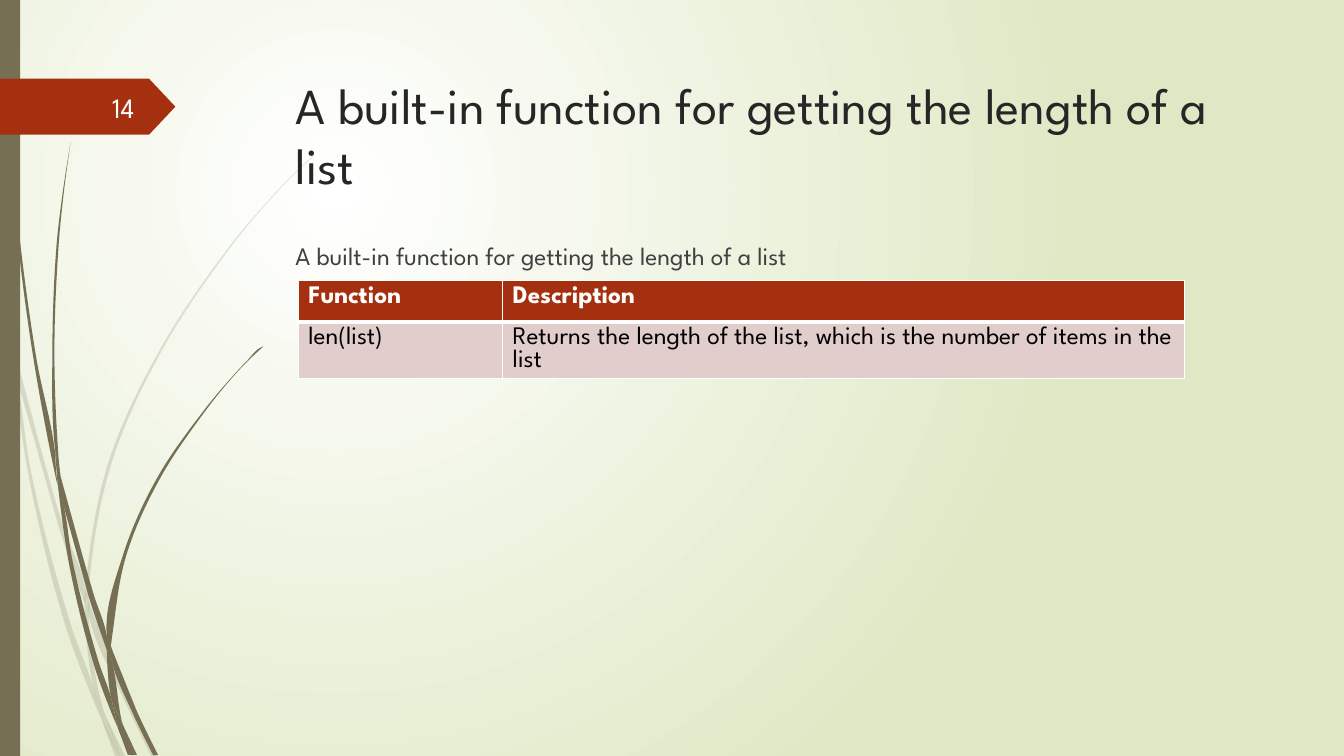
"""Build a slide that presents the list length function."""
from math import dist
from lxml.etree import SubElement
from pptx import Presentation
from pptx.dml.color import RGBColor
from pptx.enum.shapes import MSO_SHAPE
from pptx.enum.text import MSO_ANCHOR, MSO_AUTO_SIZE, PP_ALIGN
from pptx.oxml.ns import qn
from pptx.util import Pt

FONT = "League Spartan"
WHITE = RGBColor(0xFF, 0xFF, 0xFF)
PALE_GREEN = RGBColor(0xDF, 0xE8, 0xC4)
OLIVE = RGBColor(0x76, 0x6F, 0x54)
RUST = RGBColor(0xA5, 0x30, 0x10)
PINK = RGBColor(0xE1, 0xCD, 0xCC)
BLACK = RGBColor(0, 0, 0)
TITLE_GREY = RGBColor(0x26, 0x26, 0x26)
BODY_GREY = RGBColor(0x40, 0x40, 0x40)
NUMBER_WHITE = RGBColor(0xFE, 0xFF, 0xFF)

TITLE = "A built-in function for getting the length of a list"
CAPTION = "A built-in function for getting the length of a list"
SLIDE_NUMBER = "14"
TABLE_ROWS = [
    ("Function", "Description"),
    ("len(list)", "Returns the length of the list, which is the number of items in the list"),
]
COLUMN_WIDTHS = (145.9, 486.9)
ROW_HEIGHTS = (29.2, 29.2)

FAINT_BLADES = [
    [(7.9, 252), (6.5, 231.8), (0, 203), (0, 215.3), (7.2, 247.7)],
    [(41.8, 375.8), (60.5, 431.3), (61.2, 421.9), (44.6, 374.4), (10.1, 248.4), (12.2, 270.7)],
    [(66.2, 437), (63.4, 429.1), (63.4, 439.2), (88.6, 499.7), (108, 540), (111.6, 540),
     (91.4, 498.2)],
    [(85.7, 540), (89.3, 540), (75.6, 511.9)],
    [(67, 491.8), (50.4, 445.7), (22.3, 337.7), (12.2, 270.7), (7.9, 252), (20.2, 338.4),
     (46.8, 447.1), (66.2, 499), (72.7, 514.1), (71.3, 509)],
    [(60.5, 431.3), (62.6, 465.1), (67, 491.8), (69.1, 498.2), (75.6, 511.9), (74.2, 508.3),
     (65.5, 465.1), (63.4, 439.2), (63.4, 437.8)],
    [(63.4, 420.5), (79.2, 332.6), (115.2, 251.3), (164.9, 176.4), (193, 142.6), (208.8, 126),
     (224.6, 110.9), (224.6, 110.2), (208.1, 126), (193, 141.8), (164.2, 175.7),
     (113.8, 250.6), (77, 331.9), (61.2, 420.5), (61.2, 421.9), (63.4, 429.1)],
    [(72.7, 514.1), (82.1, 540), (85.7, 540)],
    [(63.4, 437.8), (63.4, 439.2), (63.4, 429.1), (61.2, 421.9), (60.5, 431.3)],
    [(69.1, 498.2), (67, 491.8), (71.3, 509), (72.7, 514.1), (85.7, 540), (75.6, 511.9)],
]
SOLID_BLADES = [
    [(5, 79.2), (12.2, 167.8), (23.8, 255.6), (40.3, 343.4), (41, 346.3), (39.6, 329),
     (39.6, 326.2), (25.9, 255.6), (13.7, 167), (5.8, 78.5), (3.6, 34.6), (2.9, 0), (2.2, 0),
     (2.9, 34.6)],
    [(63.4, 426.2), (76.3, 464.4), (76.3, 455.8), (76.3, 454.3), (67, 424.8), (43.2, 339.8),
     (46.1, 363.6)],
    [(81.4, 467.3), (79.2, 461.5), (79.9, 472.3), (95, 509.8), (109.4, 539.3), (113, 539.3),
     (97.9, 508.3)],
    [(79.2, 497.5), (70.6, 473), (51.8, 400.3), (46.1, 363.6), (41, 343.4), (49, 401),
     (67, 474.5), (79.9, 509.8), (84.2, 519.8), (83.5, 516.2)],
    [(43.2, 339.8), (41.8, 326.2), (38.9, 251.3), (41.8, 176.4), (45.4, 139), (50.4, 101.5),
     (44.6, 139), (40.3, 176.4), (37.4, 251.3), (39.6, 323.3)],
    [(95.8, 539.3), (97.9, 539.3), (87.8, 517.7)],
    [(41, 343.4), (46.1, 363.6), (43.2, 339.8), (39.6, 323.3), (39.6, 326.2)],
    [(79.9, 455.8), (90, 397.4), (113.8, 342.7), (147.6, 292.3), (166.3, 269.3),
     (176.4, 258.5), (187.9, 247.7), (187.2, 247.7), (176.4, 257.8), (166.3, 268.6),
     (146.9, 291.6), (112.3, 341.3), (87.8, 396.7), (76.3, 454.3), (79.2, 461.5)],
    [(84.2, 519.8), (91.4, 539.3), (94.3, 539.3)],
    [(76.3, 464.4), (79.2, 497.5), (83.5, 508.3), (87.8, 517.7), (87.1, 515.5),
     (79.9, 472.3), (78.5, 468.7)],
    [(76.3, 464.4), (78.5, 468.7), (79.9, 472.3), (79.2, 461.5), (76.3, 454.3), (76.3, 455.8)],
    [(83.5, 508.3), (79.2, 497.5), (83.5, 516.2), (84.2, 519.8), (93.6, 539.3),
     (95.8, 539.3), (87.8, 517.7)],
]


def paint(shape, color):
    shape.fill.solid()
    shape.fill.fore_color.rgb = color
    shape.line.fill.background()
    shape.shadow.inherit = False


def direction(start, end):
    length = dist(start, end) or 1
    return (end[0] - start[0]) / length, (end[1] - start[1]) / length


def tangent(before, point, after):
    (ax, ay), (bx, by) = direction(before, point), direction(point, after)
    if ax * bx + ay * by < 0.7:
        return 0, 0
    return direction((0, 0), (ax + bx, ay + by))


def curve_outline(shape):
    points = [(int(point.get("x")), int(point.get("y")))
              for point in shape._element.iter(qn("a:pt"))]
    tangents = [tangent(points[i - 1], point, points[(i + 1) % len(points)])
                for i, point in enumerate(points)]
    segments = list(shape._element.iter(qn("a:lnTo")))
    for i, segment in enumerate(segments):
        start, end = points[i], points[i + 1]
        reach = dist(start, end) / 3
        first = [p + reach * t for p, t in zip(start, tangents[i])]
        second = [p - reach * t for p, t in zip(end, tangents[i + 1])]
        curve = segment.makeelement(qn("a:cubicBezTo"))
        for x, y in (first, second, end):
            SubElement(curve, qn("a:pt"), x=str(round(x)), y=str(round(y)))
        segment.getparent().replace(segment, curve)


def add_blade(slide, points, opacity):
    corners = [(Pt(x), Pt(y)) for x, y in points]
    builder = slide.shapes.build_freeform(*corners[0], scale=1.0)
    builder.add_line_segments(corners[1:], close=True)
    blade = builder.convert_to_shape()
    curve_outline(blade)
    paint(blade, OLIVE)
    if opacity < 100:
        color = blade._element.spPr.find(".//" + qn("a:srgbClr"))
        SubElement(color, qn("a:alpha"), val=str(opacity * 1000))


def format_runs(paragraph, size, color, bold=False):
    for run in paragraph.runs:
        run.font.name, run.font.size, run.font.bold = FONT, Pt(size), bold
        run.font.color.rgb = color


def write(shape, box, text, size, color, line_height, alignment=PP_ALIGN.LEFT,
          anchor=MSO_ANCHOR.TOP):
    shape.left, shape.top, shape.width, shape.height = map(Pt, box)
    frame = shape.text_frame
    frame.text = text
    frame.word_wrap = True
    frame.auto_size = MSO_AUTO_SIZE.NONE
    frame.vertical_anchor = anchor
    paragraph = frame.paragraphs[0]
    paragraph.alignment = alignment
    paragraph.space_before = Pt(0)
    paragraph.line_spacing = Pt(line_height)
    format_runs(paragraph, size, color)
    return paragraph


def add_borders(cell, widths):
    properties = cell._tc.get_or_add_tcPr()
    for side, width in widths.items():
        line = SubElement(properties, qn(f"a:ln{side}"), w=str(Pt(width)))
        fill = SubElement(line, qn("a:solidFill"))
        SubElement(fill, qn("a:srgbClr"), val=str(WHITE))


def add_function_table(slide):
    table = slide.shapes.add_table(
        len(TABLE_ROWS), len(COLUMN_WIDTHS), Pt(213.1), Pt(200.6),
        Pt(sum(COLUMN_WIDTHS)), Pt(sum(ROW_HEIGHTS))).table
    for column, width in zip(table.columns, COLUMN_WIDTHS):
        column.width = Pt(width)
    for row_index, (texts, height) in enumerate(zip(TABLE_ROWS, ROW_HEIGHTS)):
        header = row_index == 0
        table.rows[row_index].height = Pt(height)
        for column_index, text in enumerate(texts):
            cell = table.cell(row_index, column_index)
            cell.text = text
            add_borders(cell, {"L": 1, "R": 1, "T": 1 if header else 3, "B": 3 if header else 1})
            cell.fill.solid()
            cell.fill.fore_color.rgb = RUST if header else PINK
            format_runs(cell.text_frame.paragraphs[0], 18, WHITE if header else BLACK, header)


def set_background(slide):
    fill = slide.background.fill
    fill.gradient()
    for stop, color in zip(fill.gradient_stops, (WHITE, PALE_GREEN)):
        stop.color.rgb = color
    gradient = slide._element.find(".//" + qn("a:gradFill"))
    gradient.remove(gradient.find(qn("a:lin")))
    circle = SubElement(gradient, qn("a:path"), path="circle")
    SubElement(circle, qn("a:fillToRect"), l="50000", t="50000", r="100000", b="100000")


def main():
    presentation = Presentation()
    presentation.slide_width, presentation.slide_height = Pt(960), Pt(540)
    slide = presentation.slides.add_slide(presentation.slide_layouts[1])
    set_background(slide)
    for blades, opacity in ((FAINT_BLADES, 20), (SOLID_BLADES, 100)):
        for points in blades:
            add_blade(slide, points, opacity)
    paint(slide.shapes.add_shape(MSO_SHAPE.RECTANGLE, 0, 0, Pt(14.4), Pt(540)), OLIVE)
    number_tag = slide.shapes.add_shape(MSO_SHAPE.PENTAGON, 0, Pt(56.2), Pt(125.3), Pt(40))
    number_tag.adjustments[0] = 0.47
    paint(number_tag, RUST)
    title, body = slide.shapes.title, slide.placeholders[1]
    for placeholder in (title, body):
        slide.shapes._spTree.append(placeholder._element)
    write(title, (204, 49, 702, 100.8), TITLE, 36, TITLE_GREY, 43.2)
    caption = write(body, (203.8, 167.8, 702, 297.4), CAPTION, 18, BODY_GREY, 21.6)
    properties = caption._p.get_or_add_pPr()
    properties.set("marL", "0")
    properties.set("indent", "0")
    SubElement(properties, qn("a:buNone"))
    write(slide.shapes.add_textbox(0, 0, 0, 0), (41.8, 61.9, 61.2, 28.8), SLIDE_NUMBER, 20,
          NUMBER_WHITE, 24, PP_ALIGN.RIGHT, MSO_ANCHOR.MIDDLE)
    add_function_table(slide)
    presentation.save("out.pptx")


if __name__ == "__main__":
    main()
